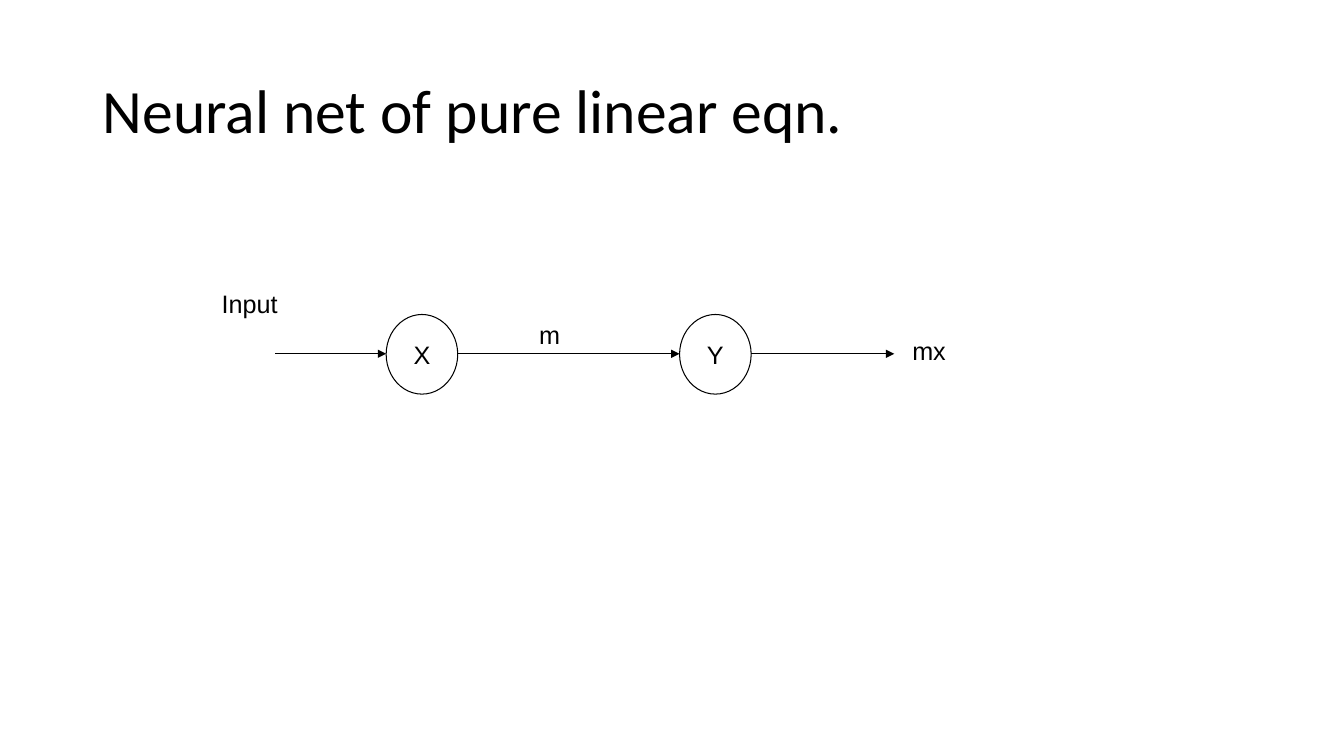
"""Build a slide showing a linear equation as a two-node neural net."""
import dataclasses

import lxml.etree
import pptx
import pptx.dml.color
import pptx.enum.shapes
import pptx.enum.text
import pptx.oxml.ns
import pptx.util


@dataclasses.dataclass(frozen=True)
class Theme:
    ink: pptx.dml.color.RGBColor = pptx.dml.color.RGBColor(0, 0, 0)
    title_font: str = "Calibri"
    body_font: str = "Arial"
    title_size: int = 44
    body_size: int = 18
    line_width: float = 0.75


theme = Theme()
ALIGN = pptx.enum.text.PP_ALIGN
ANCHOR = pptx.enum.text.MSO_ANCHOR


def px(*lengths):
    """Turn lengths at 100 px to the inch into EMU."""
    return [pptx.util.Emu(length * 9144) for length in lengths]


def write(shape, text, font, size, align, anchor, wrap=True):
    """Fill a shape with one formatted paragraph."""
    frame = shape.text_frame
    frame.text = text
    frame.word_wrap = wrap
    frame.vertical_anchor = anchor
    para = frame.paragraphs[0]
    para.alignment = align
    para.font.name = font
    para.font.size = pptx.util.Pt(size)
    para.font.color.rgb = theme.ink
    return para


deck = pptx.Presentation()
deck.slide_width, deck.slide_height = px(1333, 750)
page = deck.slides.add_slide(deck.slide_layouts[5])

title = page.shapes.title
title.left, title.top, title.width, title.height = px(92, 40, 1150, 145)
heading = write(title, "Neural net of pure linear eqn.", theme.title_font,
                theme.title_size, ALIGN.LEFT, ANCHOR.MIDDLE)
heading.line_spacing = 0.9

axis = 351
node_width, node_height = 71, 79
nodes = {"X": 383, "Y": 674}

for name, left in nodes.items():
    node = page.shapes.add_shape(
        pptx.enum.shapes.MSO_SHAPE.OVAL,
        *px(left, axis - node_height // 2, node_width, node_height))
    node.shadow.inherit = False
    node.fill.background()
    node.line.color.rgb = theme.ink
    node.line.width = pptx.util.Pt(theme.line_width)
    write(node, name, theme.body_font, theme.body_size,
          ALIGN.CENTER, ANCHOR.MIDDLE, wrap=False)

starts = [273] + [left + node_width for left in nodes.values()]
ends = list(nodes.values()) + [887]
for start, end in zip(starts, ends):
    arrow = page.shapes.add_connector(
        pptx.enum.shapes.MSO_CONNECTOR.STRAIGHT, *px(start, axis, end, axis))
    arrow.line.color.rgb = theme.ink
    arrow.line.width = pptx.util.Pt(theme.line_width)
    lxml.etree.SubElement(arrow.line._get_or_add_ln(),
                          pptx.oxml.ns.qn("a:tailEnd"), type="triangle")
    lxml.etree.SubElement(arrow._element.spPr,
                          pptx.oxml.ns.qn("a:effectLst"))

labels = [("Input", 210, 281, 134), ("m", 525, 312, 63), ("mx", 895, 328, 87)]
for text, left, top, width in labels:
    box = page.shapes.add_textbox(*px(left, top, width, 40))
    write(box, text, theme.body_font, theme.body_size, ALIGN.LEFT, ANCHOR.TOP)

deck.save("out.pptx")
